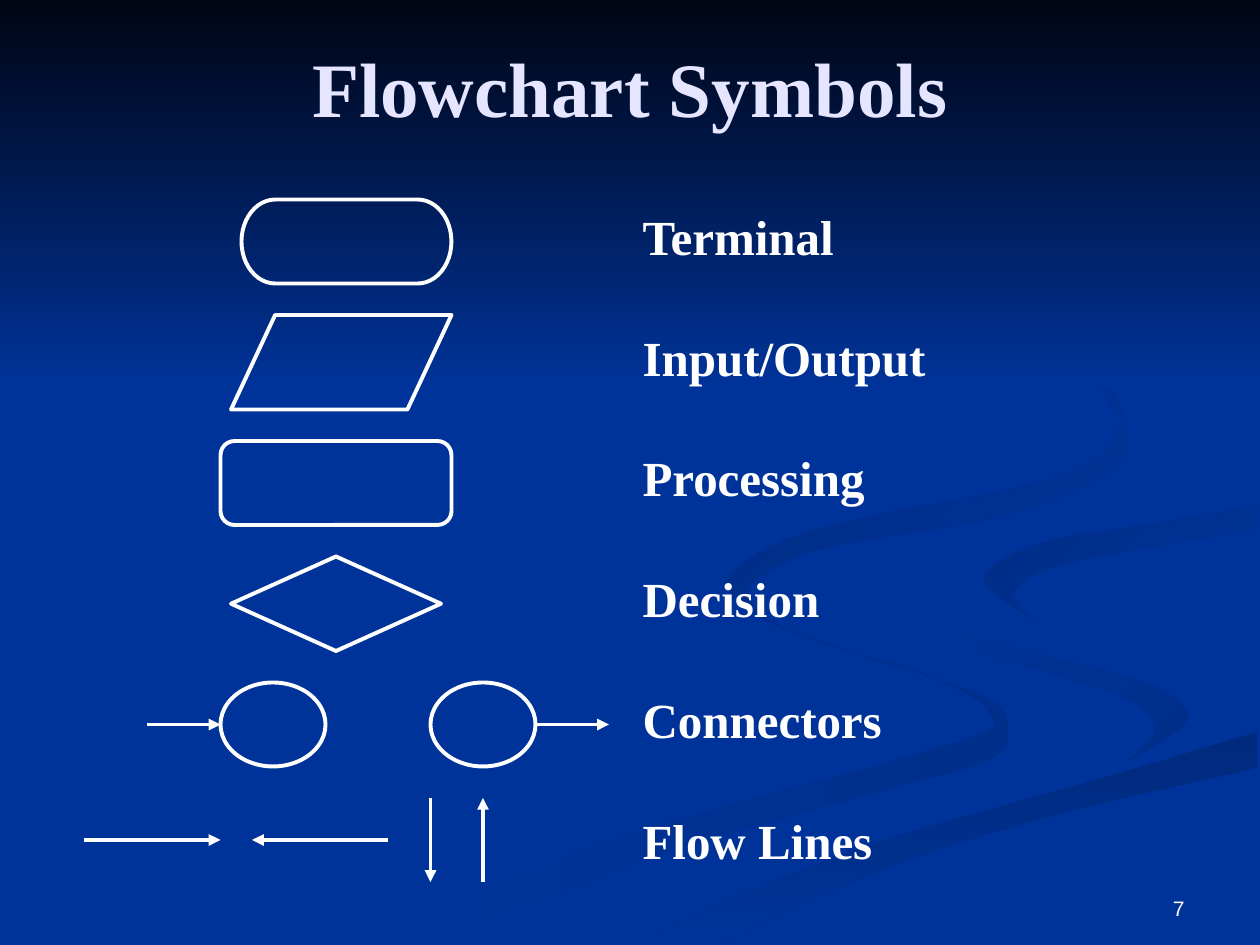
import pptx
import pptx.dml.color
import pptx.enum.dml
import pptx.enum.shapes
import pptx.enum.text
import pptx.oxml
import pptx.oxml.ns
import pptx.util

WIDTH, HEIGHT = pptx.util.Inches(10), pptx.util.Inches(7.5)
COLUMNS = 120
UNIT = WIDTH / COLUMNS
HUNDREDTH = pptx.util.Inches(0.01)
CURVE_STEPS = 5
NO_GRID_STYLE = "{2D5ABB26-0587-4C30-8999-92F81FD0307C}"
COLORS = {
    "blue": "003399", "night": "000514", "title": "E5E5FF", "white": "FFFFFF",
    "lower": "002E8B", "edge": "002A7D", "right": "002D86", "upper": "002B82",
}
SHAPES = pptx.enum.shapes.MSO_SHAPE
ANCHORS = pptx.enum.text.MSO_ANCHOR
ALIGNS = pptx.enum.text.PP_ALIGN

RIBBONS = [
    ("blue", "lower", 0,
     [(575, 459), (614, 496), (742, 538), (785, 566), (767, 587), (579, 639), (417, 690), (300, 749)],
     [(361, 749), (499, 687), (676, 634), (780, 605), (800, 581), (781, 553), (682, 519), (594, 485), (575, 459)]),
    ("blue", "lower", 45,
     [(724, 464), (792, 509), (905, 540), (943, 570), (894, 605)],
     [(894, 605), (917, 578), (892, 553), (838, 536), (766, 512), (724, 464)]),
    ("edge", "blue", 90,
     [(998, 581), (867, 620), (696, 669), (569, 719), (503, 749)],
     [(571, 749), (695, 692), (821, 651), (998, 609)]),
    ("right", "blue", 45,
     [(998, 402), (898, 418), (821, 433), (781, 460), (826, 496)],
     [(826, 496), (805, 472), (843, 448), (998, 420)]),
    ("upper", "blue", 45,
     [(762, 233), (862, 292), (889, 335), (842, 378), (649, 420), (577, 462), (622, 500)],
     [(622, 500), (593, 470), (649, 436), (786, 412), (876, 378), (894, 344), (843, 275), (762, 233)]),
    ("night", "blue", 90, [(0, 0), (0, 308)], [(1000, 308), (1000, 0)]),
]

SYMBOLS = [
    (SHAPES.FLOWCHART_TERMINATOR, 23, 19, 20, 8),
    (SHAPES.FLOWCHART_DATA, 22, 30, 21, 9),
    (SHAPES.FLOWCHART_ALTERNATE_PROCESS, 21, 42, 22, 8),
    (SHAPES.FLOWCHART_DECISION, 22, 53, 20, 9),
    (SHAPES.FLOWCHART_CONNECTOR, 21, 65, 10, 8),
    (SHAPES.FLOWCHART_CONNECTOR, 41, 65, 10, 8),
]
ARROWS = [
    (14, 69, 21, 69), (51, 69, 58, 69),
    (8, 80, 21, 80), (37, 80, 24, 80),
    (41, 76, 41, 84), (46, 84, 46, 76),
]
LABELS = ["Terminal", "Input/Output", "Processing", "Decision", "Connectors", "Flow Lines"]


def color(name):
    return pptx.dml.color.RGBColor.from_string(COLORS[name])


def grid(*lengths):
    return [round(length * UNIT) for length in lengths]


def write(frame, text, size, font="Times New Roman", tint="white", bold=True, align=ALIGNS.LEFT):
    para = frame.paragraphs[0]
    para.alignment = align
    span = para.add_run()
    span.text = text
    span.font.name = font
    span.font.size = pptx.util.Pt(size)
    span.font.bold = bold
    span.font.color.rgb = color(tint)


def add_text(page, place, text, anchor, **style):
    frame = page.shapes.add_textbox(*grid(*place)).text_frame
    frame.word_wrap = True
    frame.vertical_anchor = anchor
    write(frame, text, **style)


def blend(before, start, end, after, t):
    return (start + t * (end - before) / 2
            + t ** 2 * (before - 2.5 * start + 2 * end - after / 2)
            + t ** 3 * (3 * (start - end) + after - before) / 2)


def smooth_edge(points):
    padded = [points[0], *points, points[-1]]
    curve = [points[0]]
    for first in range(len(points) - 1):
        xs, ys = zip(*padded[first:first + 4])
        for step in range(1, CURVE_STEPS + 1):
            share = step / CURVE_STEPS
            curve.append((blend(*xs, share), blend(*ys, share)))
    return curve


def add_ribbon(page, start_tint, end_tint, angle, *edges):
    points = [point for edge in edges for point in smooth_edge(edge)]
    builder = page.shapes.build_freeform(*points[0], scale=HUNDREDTH)
    builder.add_line_segments(points[1:], close=True)
    ribbon = builder.convert_to_shape()
    ribbon.shadow.inherit = False
    ribbon.line.fill.background()
    ribbon.fill.gradient()
    ribbon.fill.gradient_angle = -angle % 360
    for stop, tint in zip(ribbon.fill.gradient_stops, (start_tint, end_tint)):
        stop.color.rgb = color(tint)


def outline(line):
    line.color.rgb = color("white")
    line.width = pptx.util.Pt(2.25)


def add_symbol(page, kind, *place):
    symbol = page.shapes.add_shape(kind, *grid(*place))
    symbol.shadow.inherit = False
    symbol.fill.background()
    outline(symbol.line)


def add_arrow(page, *ends):
    arrow = page.shapes.add_connector(pptx.enum.shapes.MSO_CONNECTOR.STRAIGHT, *grid(*ends))
    outline(arrow.line)
    namespace = pptx.oxml.ns.nsdecls("a")
    arrow.line._get_or_add_ln().append(
        pptx.oxml.parse_xml(f'<a:tailEnd {namespace} type="triangle"/>'))
    arrow._element.spPr.append(pptx.oxml.parse_xml(f"<a:effectLst {namespace}/>"))


def add_labels(page):
    place = grid(6, 17, 108, 69)
    table = page.shapes.add_table(len(LABELS), 2, *place).table
    table.first_row = False
    table.horz_banding = False
    table._tbl.tblPr.find(pptx.oxml.ns.qn("a:tableStyleId")).text = NO_GRID_STYLE
    for row, label in enumerate(LABELS):
        for cell in table.rows[row].cells:
            cell.fill.background()
            cell.vertical_anchor = ANCHORS.MIDDLE
        write(table.cell(row, 1).text_frame, label, size=28, align=ALIGNS.JUSTIFY)


def main():
    deck = pptx.Presentation()
    deck.slide_width, deck.slide_height = WIDTH, HEIGHT
    page = deck.slides.add_slide(deck.slide_layouts[6])
    page.background.fill.solid()
    page.background.fill.fore_color.rgb = color("blue")
    for ribbon in RIBBONS:
        add_ribbon(page, *ribbon)
    add_text(page, (86, 82, 28, 6.25), "7", ANCHORS.BOTTOM,
             size=12, font="Arial", bold=False, align=ALIGNS.RIGHT)
    add_text(page, (6, 3, 108, 10.5), "Flowchart Symbols", ANCHORS.MIDDLE,
             size=44, tint="title", align=ALIGNS.CENTER)
    add_labels(page)
    for symbol in SYMBOLS:
        add_symbol(page, *symbol)
    for arrow in ARROWS:
        add_arrow(page, *arrow)
    deck.save("out.pptx")


if __name__ == "__main__":
    main()
